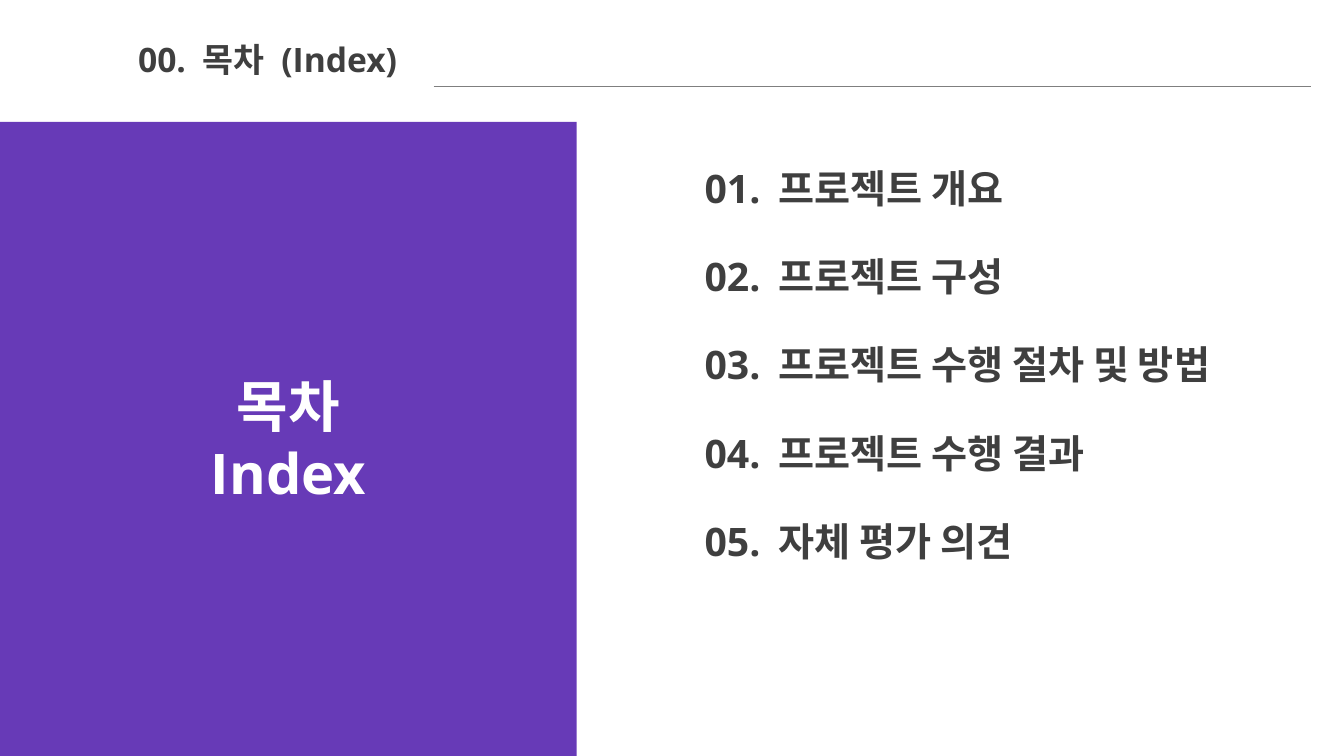
from lxml import etree
from pptx import Presentation
from pptx.dml.color import RGBColor
from pptx.enum.shapes import MSO_CONNECTOR, MSO_SHAPE
from pptx.enum.text import MSO_ANCHOR, MSO_AUTO_SIZE, PP_ALIGN
from pptx.oxml.ns import qn
from pptx.util import Inches, Pt

LEFT, CENTER = PP_ALIGN.LEFT, PP_ALIGN.CENTER
TOP, MIDDLE = MSO_ANCHOR.TOP, MSO_ANCHOR.MIDDLE
GROW, FIXED = MSO_AUTO_SIZE.SHAPE_TO_FIT_TEXT, MSO_AUTO_SIZE.NONE
RECTANGLE, STRAIGHT = MSO_SHAPE.RECTANGLE, MSO_CONNECTOR.STRAIGHT

FONT = "Open Sans"
COLORS = {"text": "3F3F3F", "panel": "673AB7", "white": "FFFFFF", "rule": "7F7F7F"}
TOPICS = ["프로젝트 개요", "프로젝트 구성", "프로젝트 수행 절차 및 방법",
          "프로젝트 수행 결과", "자체 평가 의견"]


def color(name):
    return RGBColor.from_string(COLORS[name])


def write(shape, text, size, ink="text", align=LEFT, anchor=TOP,
          inset=0.05, fit=GROW, tabs=()):
    """Fill a shape with bold text, one paragraph per line."""
    frame = shape.text_frame
    frame.word_wrap = True
    frame.auto_size = fit
    frame.vertical_anchor = anchor
    frame.margin_left = frame.margin_right = Inches(0.1)
    frame.margin_top = frame.margin_bottom = Inches(inset)
    frame.text = text
    for paragraph in frame.paragraphs:
        paragraph.alignment = align
        if tabs:
            stops = etree.SubElement(paragraph._p.get_or_add_pPr(), qn("a:tabLst"))
            for stop in tabs:
                etree.SubElement(stops, qn("a:tab"), pos=str(Inches(stop)), algn="l")
        for run in paragraph.runs:
            run.font.name = FONT
            run.font.size = Pt(size)
            run.font.bold = True
            run.font.color.rgb = color(ink)


def add_heading(slide, text):
    title = slide.shapes.title
    title.left, title.top = Inches(1.27), Inches(0.34)
    title.width, title.height = Inches(6.75), Inches(0.5)
    write(title, text, 24, tabs=(0.64, 1.42))


def add_rule(slide, start, end, y):
    rule = slide.shapes.add_connector(
        STRAIGHT, Inches(start), Inches(y), Inches(end), Inches(y))
    rule.line.color.rgb = color("rule")
    rule.line.width = Pt(1)
    etree.SubElement(rule._element.spPr, qn("a:effectLst"))


def add_panel(slide, text):
    panel = slide.shapes.add_shape(
        RECTANGLE, Inches(0), Inches(1.21), Inches(5.72), Inches(6.29))
    panel.shadow.inherit = False
    panel.fill.solid()
    panel.fill.fore_color.rgb = color("panel")
    panel.line.fill.background()
    write(panel, text, 40, ink="white", align=CENTER, anchor=MIDDLE, fit=FIXED)


def add_topic(slide, number, topic):
    top = 1.63 + 0.875 * (number - 1)
    entry = slide.shapes.add_textbox(
        Inches(6.89), Inches(top), Inches(5.79), Inches(0.47))
    write(entry, f"{number:02}.\t{topic}", 28, inset=0, tabs=(0.73,))


def main():
    prs = Presentation()
    prs.slide_width, prs.slide_height = Inches(13.33), Inches(7.5)
    slide = prs.slides.add_slide(prs.slide_layouts[5])

    # Heading and its rule
    add_heading(slide, "00.\t목차\t(Index)")
    add_rule(slide, 4.3, 13, 0.86)

    # Purple panel
    add_panel(slide, "목차\nIndex")

    # Numbered topics
    for number, topic in enumerate(TOPICS, start=1):
        add_topic(slide, number, topic)

    prs.save("out.pptx")


if __name__ == "__main__":
    main()
